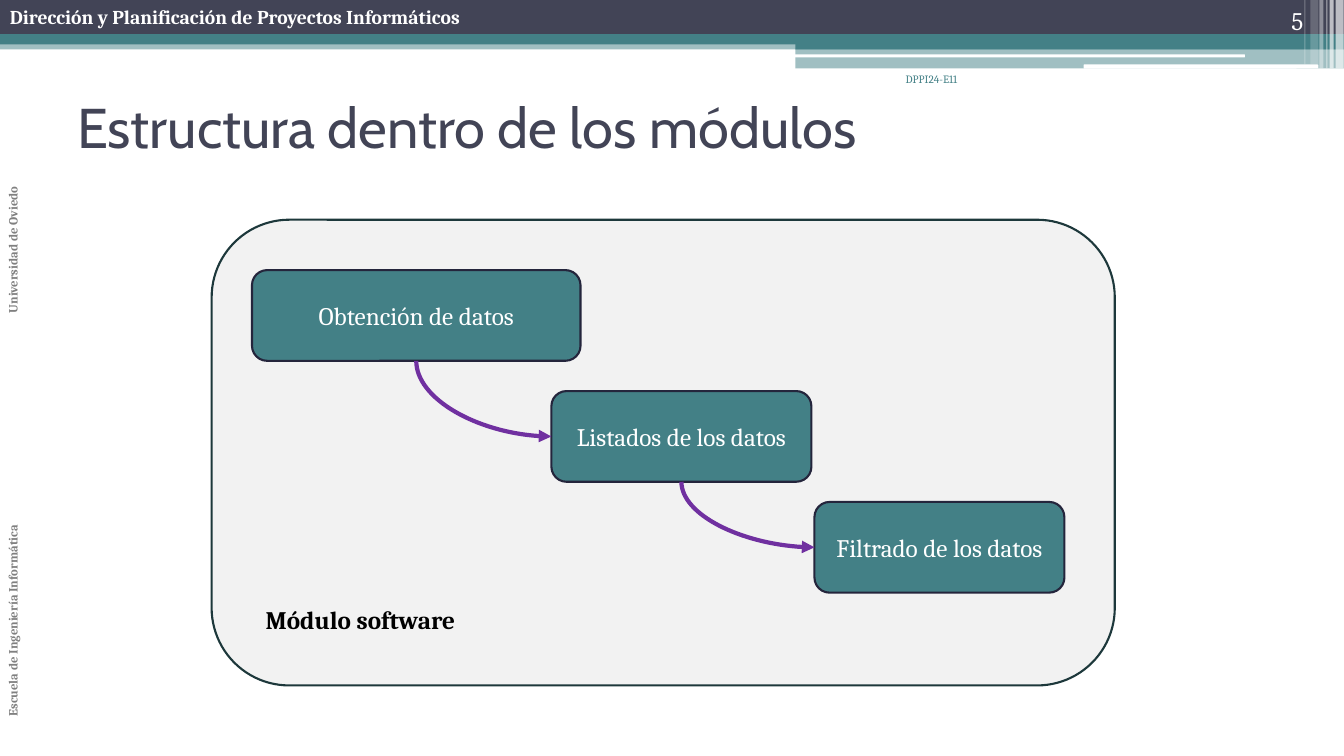
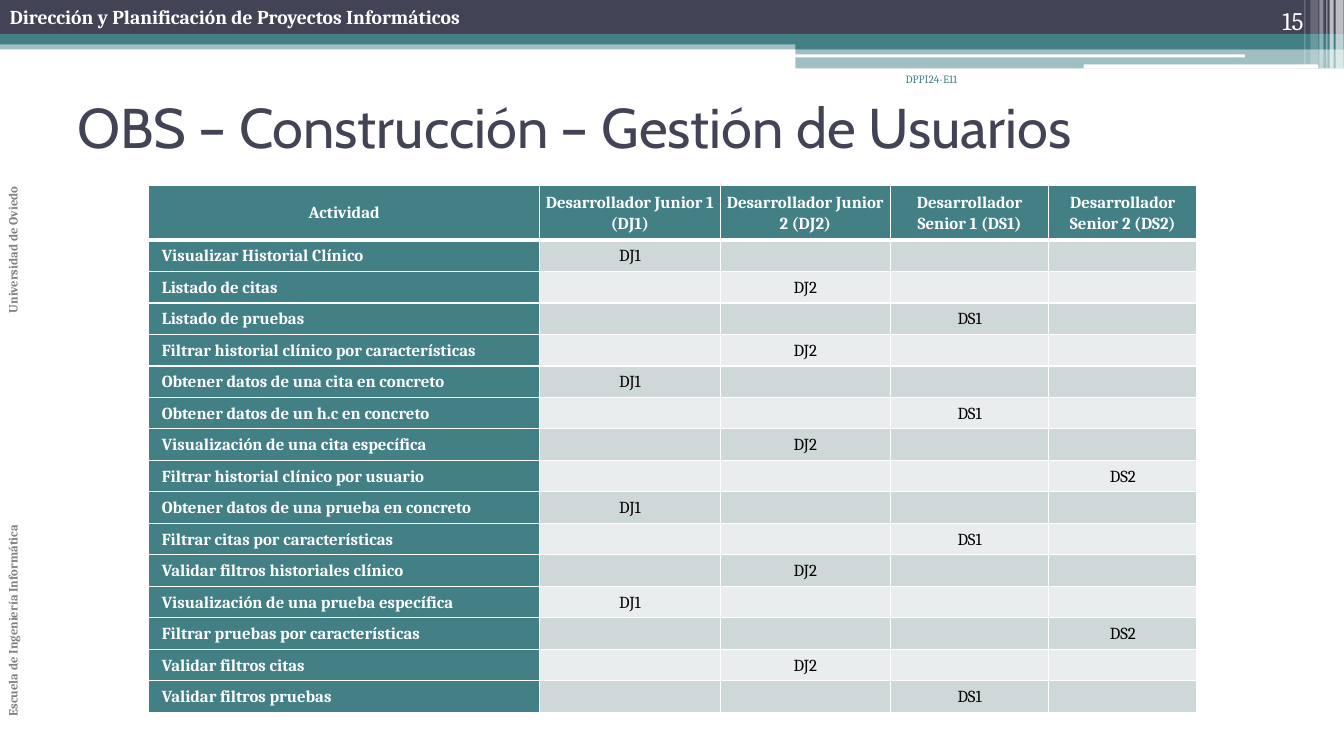
from lxml.etree import SubElement
from pptx import Presentation
from pptx.dml.color import RGBColor
from pptx.enum.shapes import MSO_CONNECTOR, MSO_SHAPE
from pptx.enum.text import MSO_ANCHOR, PP_ALIGN
from pptx.oxml.ns import qn
from pptx.util import Inches, Pt

COLUMNS, ROWS = 160, 90
COLORS = {
    "navy": "424456", "teal": "438086", "white": "FFFFFF", "gray": "808080",
    "black": "000000", "panel": "F2F2F2", "panel_line": "1D383B",
    "node_line": "24253C", "arrow": "7030A0",
    "band_dark": "CFD8D9", "band_light": "E9EDED",
}
BODY_FONT, TITLE_FONT = "Cambria", "Cabin"

BANDS = [
    ((0, 4.8, 160, 1.08), "teal", 50),
    ((0, 0, 160, 4.08), "navy", 100),
    ((0, 4.08, 160, 1.2), "teal", 100),
    ((94.68, 4.68, 65.32, 1.2), "teal", 100),
    ((94.68, 5.8, 65.32, 2.36), "teal", 50),
]
WHITE_BARS = [(94.56, 6.48, 53.64, 0.36), (129, 7.68, 27.96, 0.48)]
STRIPES = [
    (159, 0.96, 8.16, 65), (158.28, 0.48, 8.16, 65), (157.92, 0.12, 8.16, 60),
    (157.08, 0.48, 8.16, 40), (156, 0.96, 7.68, 20), (155.28, 0.12, 7.68, 30),
]

STEPS = [
    ("Obtención de datos", (30, 32.16, 39.12, 10.8)),
    ("Listados de los datos", (65.64, 46.56, 30.96, 10.8)),
    ("Filtrado de los datos", (96.96, 59.76, 29.76, 10.8)),
]

DEVELOPERS = {
    "DJ1": "Desarrollador Junior 1", "DJ2": "Desarrollador Junior 2",
    "DS1": "Desarrollador Senior 1", "DS2": "Desarrollador Senior 2",
}
ACTIVITIES = [
    ("Visualizar Historial Clínico", "DJ1"),
    ("Listado de citas", "DJ2"),
    ("Listado de pruebas", "DS1"),
    ("Filtrar historial clínico por características", "DJ2"),
    ("Obtener datos de una cita en concreto", "DJ1"),
    ("Obtener datos de un h.c en concreto", "DS1"),
    ("Visualización de una cita específica", "DJ2"),
    ("Filtrar historial clínico por usuario", "DS2"),
    ("Obtener datos de una prueba en concreto", "DJ1"),
    ("Filtrar citas por características", "DS1"),
    ("Validar filtros historiales clínico", "DJ2"),
    ("Visualización de una prueba específica", "DJ1"),
    ("Filtrar pruebas por características", "DS2"),
    ("Validar filtros citas", "DJ2"),
    ("Validar filtros pruebas", "DS1"),
]


def grid(value):
    """Turn grid columns or rows into a length."""
    return Pt(6 * value)


def color(name):
    """Look up a named colour."""
    return RGBColor.from_string(COLORS[name])


class Deck:
    """Holds the style and the current slide."""

    def __init__(self):
        self.presentation = Presentation()
        self.presentation.slide_width = grid(COLUMNS)
        self.presentation.slide_height = grid(ROWS)
        self.slide = None

    def new_slide(self, title, number):
        """Add a slide with the shared bands, labels and title."""
        self.slide = self.presentation.slides.add_slide(self.presentation.slide_layouts[6])
        for place, fill, opacity in BANDS:
            self.shape(place, fill, opacity=opacity)
        for place in WHITE_BARS:
            self.shape(place, "white", MSO_SHAPE.ROUNDED_RECTANGLE)
        for left, width, height, opacity in STRIPES:
            self.shape((left, 0, width, height), "white", opacity=opacity)
        self.text((0, 0, 98.88, 4.08), "Dirección y Planificación de Proyectos Informáticos",
                  14, "white", bold=True)
        self.side_label("Escuela de Ingeniería Informática\tUniversidad de Oviedo")
        self.text((92, 8, 23.16, 6), "DPPI24-E11", 8, "teal", align=PP_ALIGN.RIGHT)
        self.text((143, 0, 13.36, 4.8), str(number), 18, "white",
                  align=PP_ALIGN.RIGHT, anchor=MSO_ANCHOR.BOTTOM)
        self.text((8, 8, 144, 14), title, 40, "navy", font=TITLE_FONT,
                  anchor=MSO_ANCHOR.MIDDLE)

    def shape(self, place, fill, kind=MSO_SHAPE.RECTANGLE, line=None, opacity=100):
        """Draw a filled preset shape."""
        shape = self.slide.shapes.add_shape(kind, *map(grid, place))
        shape.shadow.inherit = False
        shape.fill.solid()
        shape.fill.fore_color.rgb = color(fill)
        if line:
            shape.line.color.rgb = color(line)
            shape.line.width = Pt(1.5)
        else:
            shape.line.fill.background()
        if opacity < 100:
            fill_color = shape.element.spPr.find(qn("a:solidFill"))[0]
            SubElement(fill_color, qn("a:alpha"), val=str(opacity * 1000))
        return shape

    def set_text(self, frame, text, size, ink, bold=False, font=BODY_FONT, align=PP_ALIGN.LEFT):
        """Put one formatted paragraph into a text frame."""
        frame.text = text
        paragraph = frame.paragraphs[0]
        paragraph.alignment = align
        for run in paragraph.runs:
            run.font.size = Pt(size)
            run.font.name = font
            run.font.bold = bold
            run.font.color.rgb = color(ink)
        return paragraph

    def text(self, place, text, size, ink, anchor=MSO_ANCHOR.TOP, **style):
        """Place a text box."""
        box = self.slide.shapes.add_textbox(*map(grid, place))
        box.text_frame.word_wrap = True
        box.text_frame.vertical_anchor = anchor
        self.set_text(box.text_frame, text, size, ink, **style)
        return box

    def side_label(self, text):
        """Place the upward label with its two parts set apart by a tab stop."""
        box = self.text((0, 6.48, 4.2, 80), text, 9, "gray", bold=True)
        box.element.txBody.find(qn("a:bodyPr")).set("vert", "vert270")
        properties = box.element.txBody.find(qn("a:p")).get_or_add_pPr()
        tabs = SubElement(properties, qn("a:tabLst"))
        SubElement(tabs, qn("a:tab"), pos=str(grid(48)), algn="l")

    def panel(self, place, label):
        """Draw the large rounded panel with its label near the bottom."""
        shape = self.shape(place, "panel", MSO_SHAPE.ROUNDED_RECTANGLE, "panel_line")
        frame = shape.text_frame
        frame.vertical_anchor = MSO_ANCHOR.BOTTOM
        frame.margin_left, frame.margin_bottom = Inches(0.31), Inches(0.28)
        self.set_text(frame, label, 18, "black", bold=True)

    def node(self, place, label):
        """Draw a rounded step box."""
        shape = self.shape(place, "teal", MSO_SHAPE.ROUNDED_RECTANGLE, "node_line")
        shape.text_frame.word_wrap = True
        shape.text_frame.vertical_anchor = MSO_ANCHOR.MIDDLE
        self.set_text(shape.text_frame, label, 18, "white", align=PP_ALIGN.CENTER)
        return shape

    def curved_arrow(self, source, target):
        """Join the bottom of one box to the left side of the next."""
        arrow = self.slide.shapes.add_connector(MSO_CONNECTOR.CURVE, 0, 0, 0, 0)
        arrow.begin_connect(source, 2)
        arrow.end_connect(target, 1)
        left, top, width, height = arrow.left, arrow.top, arrow.width, arrow.height
        arrow.left = left + (width - height) // 2
        arrow.top = top + (height - width) // 2
        arrow.width, arrow.height = height, width
        properties = arrow.element.spPr
        properties.find(qn("a:prstGeom")).set("prst", "curvedConnector2")
        transform = properties.find(qn("a:xfrm"))
        transform.set("rot", str(270 * 60000))
        transform.set("flipH", "1")
        arrow.line.color.rgb = color("arrow")
        arrow.line.width = Pt(3)
        SubElement(properties.find(qn("a:ln")), qn("a:tailEnd"), type="triangle")
        SubElement(properties, qn("a:effectLst"))

    def cell(self, cell, text, fill, ink, bold, align, left=0.02, top_line=1, bottom_line=1):
        """Fill and border one table cell and set its text."""
        properties = cell._tc.get_or_add_tcPr()
        for side, width in zip("LRTB", (1, 1, top_line, bottom_line)):
            border = SubElement(properties, qn(f"a:ln{side}"), w=str(Pt(width)))
            solid = SubElement(border, qn("a:solidFill"))
            SubElement(solid, qn("a:srgbClr"), val=COLORS["white"])
        cell.fill.solid()
        cell.fill.fore_color.rgb = color(fill)
        cell.vertical_anchor = MSO_ANCHOR.MIDDLE
        cell.margin_left, cell.margin_right = Inches(left), Inches(0.02)
        cell.margin_top = cell.margin_bottom = 0
        if text:
            paragraph = self.set_text(cell.text_frame, text, 12, ink, bold=bold, align=align)
            paragraph.line_spacing = 1.07

    def assignment_table(self, place, widths, header_height, row_height):
        """Draw the table of activities against developers."""
        frame = self.slide.shapes.add_table(
            len(ACTIVITIES) + 1, len(widths), *map(grid, place))
        table = frame.table
        table.horz_banding = False
        for column, width in zip(table.columns, widths):
            column.width = grid(width)
        for index, row in enumerate(table.rows):
            row.height = grid(row_height if index else header_height)
        headings = ["Actividad"] + [f"{name} ({code})" for code, name in DEVELOPERS.items()]
        for index, heading in enumerate(headings):
            self.cell(table.cell(0, index), heading, "teal", "white", True,
                      PP_ALIGN.CENTER, bottom_line=3)
        for row, (activity, assigned) in enumerate(ACTIVITIES, 1):
            top_line = 3 if row == 1 else 1
            band = "band_dark" if row % 2 else "band_light"
            self.cell(table.cell(row, 0), activity, "teal", "white", True,
                      PP_ALIGN.LEFT, left=0.13, top_line=top_line)
            for column, code in enumerate(DEVELOPERS, 1):
                self.cell(table.cell(row, column), code if code == assigned else "", band,
                          "black", False, PP_ALIGN.CENTER, top_line=top_line)


def main():
    """Build and save both slides."""
    deck = Deck()
    deck.new_slide("Estructura dentro de los módulos", 5)
    deck.panel((25.2, 26.16, 107.52, 55.44), "Módulo software")
    nodes = [deck.node(place, label) for label, place in STEPS]
    for source, target in zip(nodes, nodes[1:]):
        deck.curved_arrow(source, target)

    deck.new_slide("OBS – Construcción – Gestión de Usuarios", 15)
    deck.assignment_table((17.7, 22.08, 124.8, 62.75),
                          (46.56, 21.48, 20.28, 18.84, 17.64), 6.5, 3.75)
    deck.presentation.save("out.pptx")


if __name__ == "__main__":
    main()
